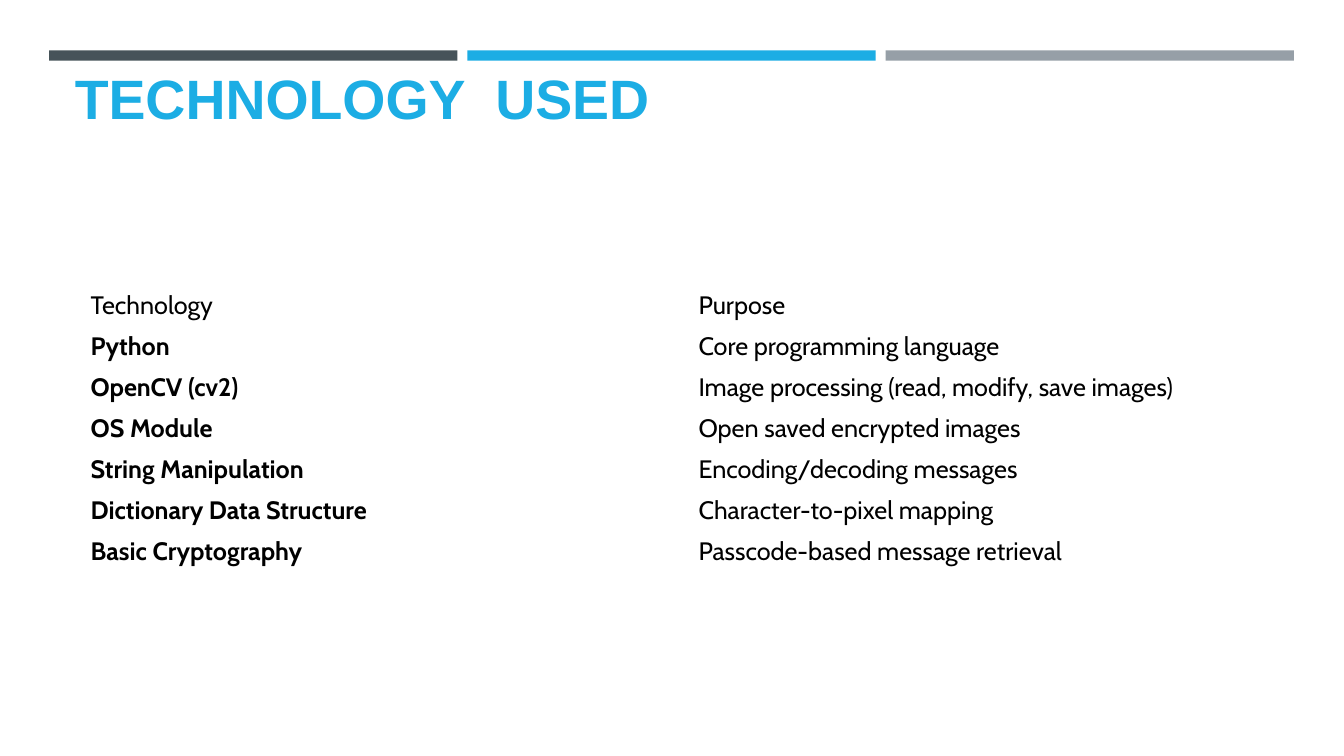
from pptx import Presentation
from pptx.dml.color import RGBColor
from pptx.enum import shapes, text
from pptx.util import Cm, Pt

ACCENT = "1CADE4"
BAR_COLOURS = ["465359", ACCENT, "969FA7"]
TECHNOLOGIES = [
    ("Technology", "Purpose"),
    ("Python", "Core programming language"),
    ("OpenCV (cv2)", "Image processing (read, modify, save images)"),
    ("OS Module", "Open saved encrypted images"),
    ("String Manipulation", "Encoding/decoding messages"),
    ("Dictionary Data Structure", "Character-to-pixel mapping"),
    ("Basic Cryptography", "Passcode-based message retrieval"),
]


def colour(hex_string):
    return RGBColor.from_string(hex_string)


def set_font(paragraph, name, size, hex_colour, bold):
    font = paragraph.font
    font.name, font.size, font.bold = name, Pt(size), bold
    font.color.rgb = colour(hex_colour)


def add_header_bars(slide):
    for i, fill in enumerate(BAR_COLOURS):
        bar = slide.shapes.add_shape(
            shapes.MSO_SHAPE.RECTANGLE,
            Cm(1.24 + i * 10.54), Cm(1.27), Cm(10.29), Cm(0.26))
        bar.shadow.inherit = False
        bar.fill.solid()
        bar.fill.fore_color.rgb = colour(fill)
        bar.line.fill.background()


def set_title(slide, wording):
    title = slide.shapes.title
    title.left, title.top = Cm(1.63), Cm(1.96)
    title.width, title.height = Cm(30.63), Cm(1.47)
    frame = title.text_frame
    frame.text = wording
    frame.auto_size = text.MSO_AUTO_SIZE.NONE
    frame.vertical_anchor = text.MSO_ANCHOR.BOTTOM
    heading = frame.paragraphs[0]
    heading.alignment = text.PP_ALIGN.LEFT
    set_font(heading, "Arial", 39.6, ACCENT, True)


def add_technology_table(slide):
    """Plain table whose first column is bold below the heading row."""
    row_height = Cm(1.02)
    table = slide.shapes.add_table(
        len(TECHNOLOGIES), 2, Cm(2.03), Cm(7.19),
        Cm(30.64), row_height * len(TECHNOLOGIES)).table
    table.first_row = table.horz_banding = False
    for r, entry in enumerate(TECHNOLOGIES):
        for c, wording in enumerate(entry):
            cell = table.cell(r, c)
            cell.text = wording
            cell.fill.background()
            cell.vertical_anchor = text.MSO_ANCHOR.MIDDLE
            set_font(cell.text_frame.paragraphs[0], "Cabin", 18, "000000",
                     r > 0 and c == 0)


def main():
    deck = Presentation()
    deck.slide_width, deck.slide_height = Cm(33.87), Cm(19.05)
    slide = deck.slides.add_slide(deck.slide_layouts.get_by_name("Title Only"))
    add_header_bars(slide)
    set_title(slide, "TECHNOLOGY  USED")
    add_technology_table(slide)
    deck.save("out.pptx")


if __name__ == "__main__":
    main()
